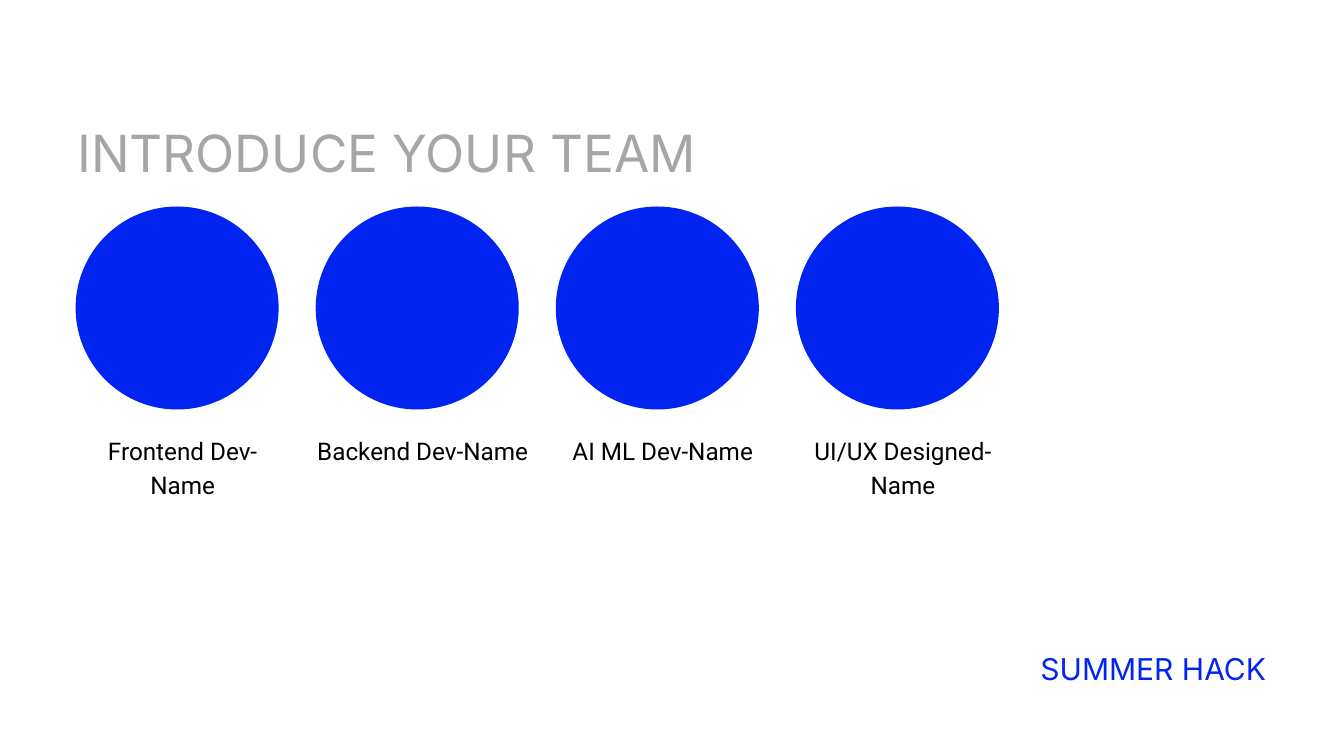
from pptx import Presentation
from pptx import util as u
from pptx.dml import color
from pptx.enum import shapes, text

SCALE = 9525
COLORS = {"accent": "0124F1", "title": "A6A6A6", "body": "000000", "background": "FFFFFF"}
FORMATS = {
    "title": {"name": "Inter", "size": u.Pt(54.9), "bold": False},
    "event": {"name": "Inter", "size": u.Pt(32.2), "bold": False},
    "role": {"name": "Roboto", "size": u.Pt(26), "bold": False},
}
LINE_SPACING = {"title": u.Pt(76.9), "event": u.Pt(45.1), "role": u.Pt(36.4)}
FRAME = {
    "margin_left": 0,
    "margin_top": 0,
    "margin_right": 0,
    "margin_bottom": 0,
    "word_wrap": True,
    "vertical_anchor": text.MSO_ANCHOR.TOP,
    "auto_size": text.MSO_AUTO_SIZE.SHAPE_TO_FIT_TEXT,
}
ROLES = [
    ("Frontend Dev-Name", 96),
    ("Backend Dev-Name", 96),
    ("AI ML Dev-Name", 48),
    ("UI/UX Designed-Name", 96),
]
FIRST_LEFT, STEP = 108, 343


def px(value):
    return u.Emu(value * SCALE)


def rgb(name):
    return color.RGBColor.from_string(COLORS[name])


def set_attributes(target, values):
    for name, value in values.items():
        setattr(target, name, value)


class TeamSlide:
    def __init__(self, slide):
        self.slide = slide
        fill = slide.background.fill
        fill.solid()
        fill.fore_color.rgb = rgb("background")

    def fill_text(self, shape, words, style, color_name):
        frame = shape.text_frame
        set_attributes(frame, FRAME)
        paragraph = frame.paragraphs[0]
        set_attributes(paragraph, {
            "alignment": text.PP_ALIGN.CENTER,
            "line_spacing": LINE_SPACING[style],
            "space_before": u.Pt(0),
        })
        run = paragraph.add_run()
        run.text = words
        set_attributes(run.font, FORMATS[style])
        run.font.color.rgb = rgb(color_name)

    def title(self, words, left, top, width, height):
        shape = self.slide.shapes.title
        set_attributes(shape, {
            "left": px(left), "top": px(top), "width": px(width), "height": px(height),
        })
        self.fill_text(shape, words, "title", "title")

    def label(self, words, left, top, width, height, style, color_name):
        shape = self.slide.shapes.add_textbox(px(left), px(top), px(width), px(height))
        self.fill_text(shape, words, style, color_name)

    def circle(self, left, top, size):
        shape = self.slide.shapes.add_shape(
            shapes.MSO_SHAPE.OVAL, px(left), px(top), px(size), px(size))
        shape.shadow.inherit = False
        shape.fill.solid()
        shape.fill.fore_color.rgb = rgb("accent")
        shape.line.fill.background()


def main():
    presentation = Presentation()
    presentation.slide_width = px(1920)
    presentation.slide_height = px(1080)
    layout = presentation.slide_layouts.get_by_name("Title Only")
    team = TeamSlide(presentation.slides.add_slide(layout))

    team.title("INTRODUCE YOUR TEAM", 92, 159, 922, 97)
    team.label("SUMMER HACK", 1483, 921, 329, 59, "event", "accent")
    for index, (role, height) in enumerate(ROLES):
        left = FIRST_LEFT + index * STEP
        team.circle(left, 295, 290)
        team.label(role, left, 616, 306, height, "role", "body")

    presentation.save("out.pptx")


if __name__ == "__main__":
    main()
